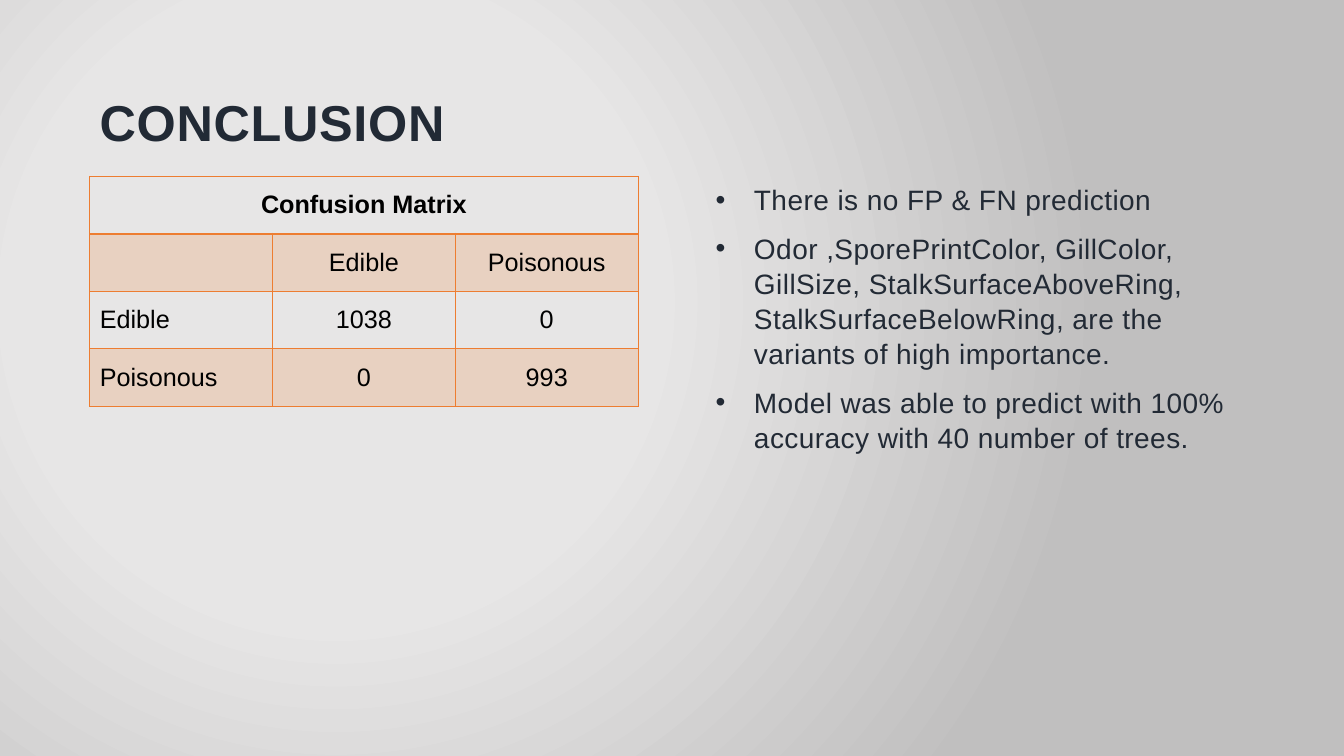
from lxml import etree
from pptx import Presentation
from pptx import util as u
from pptx.dml.color import RGBColor
from pptx.enum import text
from pptx.oxml import ns

NAVY = RGBColor(0x22, 0x2A, 0x35)
BLACK = RGBColor(0, 0, 0)
ORANGE = RGBColor(0xED, 0x7D, 0x31)
BACKDROP = {
    0: RGBColor(0xE8, 0xE7, 0xE7),
    41: RGBColor(0xE7, 0xE6, 0xE6),
    100: RGBColor(0xC0, 0xBF, 0xBF),
}


def add_span(para, wording, spacing=0, **font):
    span = para.add_run()
    span.text = wording
    span.font.name = "Arial"
    span.font.color.rgb = font.pop("color")
    for name, value in font.items():
        setattr(span.font, name, value)
    if spacing:
        span.font._element.set("spc", str(spacing))


def add_xml(parent, tag, **attributes):
    values = {name: str(value) for name, value in attributes.items()}
    return etree.SubElement(parent, ns.qn("a:" + tag), values)


deck = Presentation()
deck.slide_width, deck.slide_height = u.Inches(13.33), u.Inches(7.5)
page = deck.slides.add_slide(deck.slide_layouts[6])

# Radial grey background
page.background.fill.gradient()
gradient = page.background._cSld.find(".//" + ns.qn("a:gradFill"))
for child in list(gradient):
    gradient.remove(child)
stops = add_xml(gradient, "gsLst")
for place, color in BACKDROP.items():
    add_xml(add_xml(stops, "gs", pos=place * 1000), "srgbClr", val=color)
circle = add_xml(gradient, "path", path="circle")
add_xml(circle, "fillToRect", l=50000, t=80000, r=100000, b=100000)

# Title
box = page.shapes.add_textbox(u.Inches(0.89), u.Inches(0.3), u.Inches(11.56), u.Inches(1.25))
box.text_frame.word_wrap = True
box.text_frame.vertical_anchor = text.MSO_ANCHOR.BOTTOM
add_span(box.text_frame.paragraphs[0], "CONCLUSION", 50, size=u.Pt(36), bold=True, color=NAVY)

# Confusion matrix
matrix = [
    ["Confusion Matrix", "", ""],
    ["", "Edible", "Poisonous"],
    ["Edible", "1038", "0"],
    ["Poisonous", "0", "993"],
]
table = page.shapes.add_table(4, 3, u.Inches(0.89), u.Inches(1.75),
                              u.Inches(5.44), u.Inches(2.28)).table
table.first_row = table.horz_banding = False
for row, wordings in enumerate(matrix):
    table.rows[row].height = u.Inches(0.57)
    for column, wording in enumerate(wordings):
        cell = table.cell(row, column)
        cell.vertical_anchor = text.MSO_ANCHOR.MIDDLE
        para = cell.text_frame.paragraphs[0]
        if row == 0 or column > 0:
            para.alignment = text.PP_ALIGN.CENTER
        if wording:
            add_span(para, wording, size=u.Pt(18), bold=row == 0, color=BLACK)

        # Borders come before the fill in the cell properties
        properties = cell._tc.get_or_add_tcPr()
        for side in "LRTB":
            heavy = (row, side) in [(0, "B"), (1, "T")]
            border = add_xml(properties, "ln" + side, w=u.Pt(2 if heavy else 1))
            add_xml(add_xml(border, "solidFill"), "srgbClr", val=ORANGE)
        if row % 2:
            tint = add_xml(add_xml(properties, "solidFill"), "srgbClr", val=ORANGE)
            add_xml(tint, "alpha", val=20000)
        else:
            cell.fill.background()
table.cell(0, 0).merge(table.cell(0, 2))

# Findings
findings = [
    "There is no FP & FN prediction",
    "Odor ,SporePrintColor, GillColor, GillSize, StalkSurfaceAboveRing, "
    "StalkSurfaceBelowRing, are the variants of high importance.",
    "Model was able to predict with 100% accuracy with 40 number of trees.",
]
layout = {"space_before": u.Pt(4), "space_after": u.Pt(6), "line_spacing": 1.04}
box = page.shapes.add_textbox(u.Inches(7), u.Inches(1.75), u.Inches(5.44), u.Inches(2.83))
box.text_frame.word_wrap = True
for index, finding in enumerate(findings):
    para = box.text_frame.add_paragraph() if index else box.text_frame.paragraphs[0]
    for name, value in layout.items():
        setattr(para, name, value)
    properties = para._p.get_or_add_pPr()
    properties.set("marL", str(u.Inches(0.38)))
    properties.set("indent", str(-u.Inches(0.38)))
    add_xml(add_xml(properties, "buClr"), "srgbClr", val=NAVY)
    add_xml(properties, "buFont", typeface="Arial")
    add_xml(properties, "buChar", char="•")
    add_span(para, finding, 30, size=u.Pt(20), color=NAVY)

deck.save("out.pptx")
